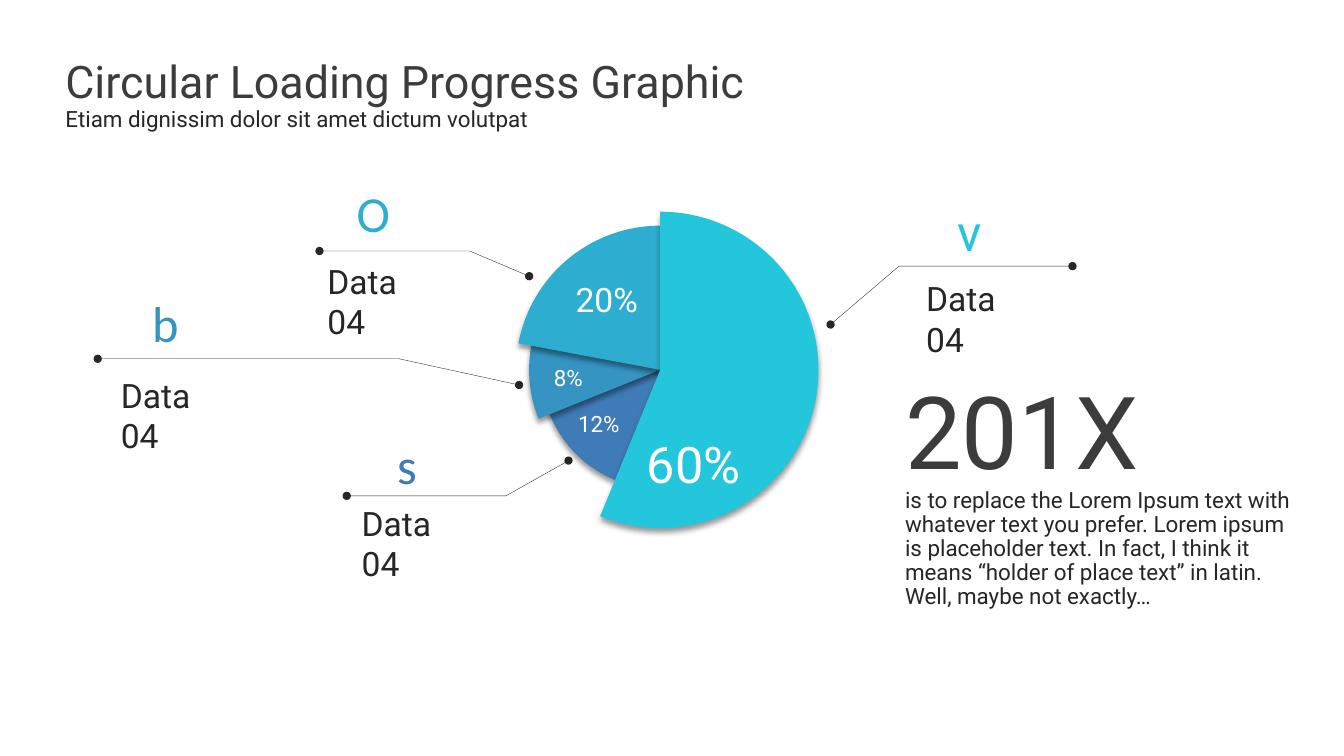
from lxml import etree
from pptx import Presentation
from pptx.dml.color import RGBColor
from pptx.enum.shapes import MSO_SHAPE
from pptx.enum.text import PP_ALIGN
from pptx.oxml.ns import qn
from pptx.util import Pt

PIE = MSO_SHAPE.PIE
LEFT, CENTER = PP_ALIGN.LEFT, PP_ALIGN.CENTER

COLORS = {
    "cyan": "24C6DC", "sky": "2DADCF", "blue": "3694C2", "indigo": "3F7BB6",
    "heading": "3C3C3C", "body": "262626", "white": "FFFFFF", "shadow": "000000",
}
PIE_CENTER = (471.6, 264.2)

# color, radius, start and end angle, label, label box, label size, alignment
SLICES = [
    ("indigo", 85, 112.2, 270, "12%", (403.2, 289.4, 49, 29.5), 16, CENTER),
    ("blue", 93.6, 158.07, 270, "8%", (386.6, 256.3, 38.9, 29.5), 16, CENTER),
    ("sky", 103, 190.62, 272.55, "20%", (401, 195.8, 64.8, 40.3), 24, CENTER),
    ("cyan", 113, 270, 112.32, "60%", (455, 306, 90, 56.2), 36, LEFT),
]

# icon letter, font, color, leader points, letter position, caption position
CALLOUTS = [
    ("v", "Roboto", "cyan", [(593.3, 231.8), (642.2, 190.1), (766.1, 190.1)],
     (676.8, 140.4), (654.5, 195.1)),
    ("O", "Calibri", "sky", [(378, 197.3), (335.5, 179.3), (228.2, 179.3)],
     (247.7, 126.7), (226.8, 182.9)),
    ("b", "Calibri", "blue", [(370.8, 275), (285.1, 256.3), (69.8, 256.3)],
     (101.5, 205.2), (79.2, 264.2)),
    ("s", "Calibri", "indigo", [(406.1, 329), (361.4, 354.2), (247.7, 354.2)],
     (276.5, 306.7), (251.3, 355.7)),
]

HEADER = [
    ("Circular Loading Progress Graphic", 32, "heading", 0.9),
    ("Etiam dignissim dolor sit amet dictum volutpat", 16, "body", 0.9),
]
SUMMARY = [
    ("201X", 72, "heading", Pt(17)),
    ("is to replace the Lorem Ipsum text with whatever text you prefer. "
     "Lorem ipsum is placeholder text. In fact, I think it means “holder of "
     "place text” in latin. Well, maybe not exactly…", 16, "body", 0.89),
]


def rgb(color):
    return RGBColor.from_string(COLORS[color])


def add_text(slide, box, lines, font="Roboto", align=LEFT, wrap=True):
    """Add a text box; each line is (text, size, color, line spacing)."""
    frame = slide.shapes.add_textbox(*map(Pt, box)).text_frame
    frame.word_wrap = wrap
    for index, (text, size, color, spacing) in enumerate(lines):
        paragraph = frame.add_paragraph() if index else frame.paragraphs[0]
        paragraph.alignment = align
        paragraph.line_spacing = spacing
        run = paragraph.add_run()
        run.text = text
        for key, value in {"name": font, "size": Pt(size)}.items():
            setattr(run.font, key, value)
        run.font.color.rgb = rgb(color)


def add_drop_shadow(shape):
    shape.shadow.inherit = False
    effects = shape._element.spPr.find(qn("a:effectLst"))
    shadow = etree.SubElement(
        effects, qn("a:outerShdw"), blurRad=str(Pt(4)), dist=str(Pt(3)),
        dir="5400000", algn="t", rotWithShape="0")
    tint = etree.SubElement(shadow, qn("a:srgbClr"), val=COLORS["shadow"])
    etree.SubElement(tint, qn("a:alpha"), val="40000")


def add_slice(slide, color, radius, start, end, label, box, size, align):
    left, top = (middle - radius for middle in PIE_CENTER)
    wedge = slide.shapes.add_shape(
        PIE, Pt(left), Pt(top), Pt(2 * radius), Pt(2 * radius))
    for index, degrees in enumerate((start, end)):
        wedge.adjustments[index] = degrees * 0.6  # 60000 units per degree
    wedge.fill.solid()
    wedge.fill.fore_color.rgb = rgb(color)
    wedge.line.fill.background()
    add_drop_shadow(wedge)
    add_text(slide, box, [(label, size, "white", None)], align=align, wrap=False)


def add_leader(slide, points):
    """Draw a bent hairline with a dot at both ends."""
    start, *rest = [(Pt(x), Pt(y)) for x, y in points]
    builder = slide.shapes.build_freeform(*start)
    builder.add_line_segments(rest, close=False)
    leader = builder.convert_to_shape()
    leader.shadow.inherit = False
    leader.fill.background()
    leader.line.color.rgb = rgb("body")
    leader.line.width = Pt(0.25)
    outline = leader.line._get_or_add_ln()
    for end in ("a:headEnd", "a:tailEnd"):
        etree.SubElement(outline, qn(end), type="oval")


def add_callout(slide, letter, font, color, points, letter_at, caption_at):
    add_leader(slide, points)
    add_text(slide, (*letter_at, 51, 51), [(letter, 36, color, None)], font)
    add_text(slide, (*caption_at, 92, 36), [("Data 04", 24, "body", None)])


def main():
    deck = Presentation()
    deck.slide_width, deck.slide_height = Pt(960), Pt(540)
    slide = deck.slides.add_slide(deck.slide_layouts[6])
    for callout in CALLOUTS:
        add_callout(slide, *callout)
    add_text(slide, (639.4, 329, 289.4, 127.4), SUMMARY)
    for pie_slice in SLICES:
        add_slice(slide, *pie_slice)
    add_text(slide, (39.6, 38.9, 566, 80.6), HEADER)
    deck.save("out.pptx")


if __name__ == "__main__":
    main()
